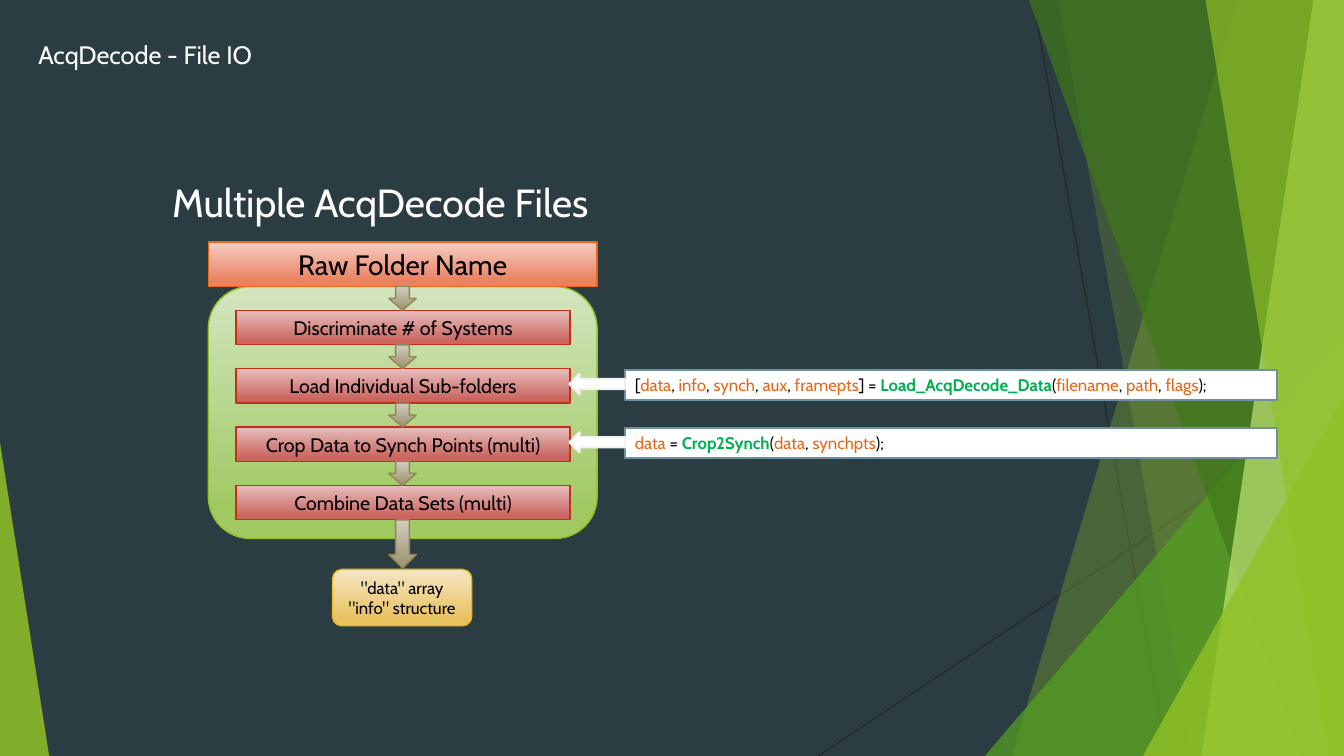
import pptx
import pptx.util
import pptx.dml.color
import pptx.enum.shapes
import pptx.enum.text
import pptx.oxml
import pptx.oxml.ns
from dataclasses import dataclass

Cm = pptx.util.Cm
Shape = pptx.enum.shapes.MSO_SHAPE
Anchor = pptx.enum.text.MSO_ANCHOR
Align = pptx.enum.text.PP_ALIGN

TITLE = "AcqDecode - File IO"
HEADING = "Multiple AcqDecode Files"
SOURCE = "Raw Folder Name"
STEPS = [
    "Discriminate # of Systems",
    "Load Individual Sub-folders",
    "Crop Data to Synch Points (multi)",
    "Combine Data Sets (multi)",
]
RESULT = ['"data" array', '"info" structure']
CALLS = {
    1: [("[", "plain"), ("data", "name"), (",", "plain"), (" info", "name"),
        (",", "plain"), (" synch", "name"), (",", "plain"), (" aux", "name"),
        (",", "plain"), (" framepts", "name"), ("] = ", "plain"),
        ("Load_AcqDecode_Data", "function"), ("(", "plain"),
        ("filename", "name"), (",", "plain"), (" path", "name"),
        (",", "plain"), (" flags", "name"), (");", "plain")],
    2: [("data ", "name"), ("= ", "plain"), ("Crop2Synch", "function"),
        ("(", "plain"), ("data", "name"), (",", "plain"),
        (" synchpts", "name"), (");", "plain")],
}

WIDTH, HEIGHT = 33.87, 19.05
RAYS = [(26.04, 0, 29.41, HEIGHT), (WIDTH, 10.24, 20.62, HEIGHT)]
FACETS = [
    ("band", (31.19, 25.5), "90C226", 30),
    ("band", (26.67, 30.05), "90C226", 20),
    ("corner", (24.82, 8.46, 9.05, 1), "54A021", 72),
    ("band", (25.93, 32.79), "3F7819", 70),
    ("band", (33.1, 30.28), "C0E474", 70),
    ("band", (30.38, 33.48), "90C226", 65),
    ("corner", (28.8, 9.98, 5.07, 1), "90C226", 80),
    ("corner", (0, 11.15, 1.24, 0), "90C226", 85),
]


@dataclass(frozen=True)
class Theme:
    font = "Cabin"
    background = "2C3C43"
    white = "FFFFFF"
    black = "000000"
    ray = "262626"
    code = {"plain": "000000", "name": "E76618", "function": "00B050"}
    code_border = "6E91A0"
    pointer_border = "F2F2F2"
    panel = ("D3E5BE", "A0C962", "90C226")
    source = ("F5CEC5", "EA815F", "E76618")
    step = ("E6BFBE", "CB6560", "C42F1A")
    arrow = ("D1CDC0", "A19877", "918655")
    result = ("F5E5C5", "E9C260", "E6B91E")
    title_size = 18
    heading_size = 28
    source_size = 20
    step_size = 14
    small_size = 12


theme = Theme()


def rgb(code):
    return pptx.dml.color.RGBColor.from_string(code)


def add_span(para, text, size, color, bold=False):
    span = para.add_run()
    span.text = text
    span.font.name = theme.font
    span.font.size = pptx.util.Pt(size)
    span.font.bold = bold
    span.font.color.rgb = rgb(color)


def write_lines(shape, lines, size):
    frame = shape.text_frame
    for index, line in enumerate(lines):
        para = frame.add_paragraph() if index else frame.paragraphs[0]
        para.alignment = Align.CENTER
        add_span(para, line, size, theme.black)


def add_box(page, kind, bounds):
    box = page.shapes.add_shape(kind, *map(Cm, bounds))
    box.shadow.inherit = False
    return box


def outline(shape, color, width):
    shape.line.color.rgb = rgb(color)
    shape.line.width = pptx.util.Pt(width)


def add_gradient_box(page, kind, bounds, colors):
    box = add_box(page, kind, bounds)
    start, end, border = colors
    box.fill.gradient()
    box.fill.gradient_angle = 270
    for stop, color, position in zip(box.fill.gradient_stops, (start, end), (0, 0.88)):
        stop.color.rgb = rgb(color)
        stop.position = position
    outline(box, border, 1)
    return box


def add_white_box(page, kind, bounds, border):
    box = add_box(page, kind, bounds)
    box.fill.solid()
    box.fill.fore_color.rgb = rgb(theme.white)
    outline(box, border, 1.5)
    return box


def add_facet(page, kind, geometry, color, opacity):
    if kind == "band":
        top_x, bottom_x = geometry
        corners = [(WIDTH, 0), (WIDTH, HEIGHT), (bottom_x, HEIGHT)]
        builder = page.shapes.build_freeform(Cm(top_x), 0)
        builder.add_line_segments([(Cm(x), Cm(y)) for x, y in corners], close=True)
        facet = builder.convert_to_shape()
        facet.shadow.inherit = False
    else:
        left, top, width, apex = geometry
        facet = add_box(page, Shape.ISOSCELES_TRIANGLE, (left, top, width, HEIGHT - top))
        facet.adjustments[0] = apex
    facet.fill.solid()
    facet.fill.fore_color.rgb = rgb(color)
    facet.line.fill.background()
    node = facet.element.spPr.find(".//" + pptx.oxml.ns.qn("a:srgbClr"))
    alpha = node.makeelement(pptx.oxml.ns.qn("a:alpha"), {"val": str(opacity * 1000)})
    node.append(alpha)


def add_backdrop(page):
    page.background.fill.solid()
    page.background.fill.fore_color.rgb = rgb(theme.background)
    for ends in RAYS:
        ray = page.shapes.add_connector(
            pptx.enum.shapes.MSO_CONNECTOR.STRAIGHT, *map(Cm, ends))
        outline(ray, theme.ray, 0.75)
        properties = ray.element.spPr
        properties.append(properties.makeelement(pptx.oxml.ns.qn("a:effectLst"), {}))
    for facet in FACETS:
        add_facet(page, *facet)


def add_headings(page):
    title = page.shapes.title
    heading = page.shapes.add_textbox(Cm(4.09), Cm(4.37), Cm(11.61), Cm(1.7))
    title.left, title.top, title.width, title.height = map(Cm, (0.71, 0.86, 6.15, 1.02))
    for box, text, size in ((title, TITLE, theme.title_size),
                            (heading, HEADING, theme.heading_size)):
        frame = box.text_frame
        frame.word_wrap = box is heading
        frame.auto_size = pptx.enum.text.MSO_AUTO_SIZE.NONE
        frame.vertical_anchor = Anchor.TOP
        frame.paragraphs[0].alignment = Align.LEFT
        add_span(frame.paragraphs[0], text, size, theme.white)


def add_flow(page):
    left, width = 5.25, 9.8
    first_top, pitch, step_height, gap = 7.82, 1.47, 0.87, 0.6
    step_left, step_width = 5.95, 8.42
    arrow_left, arrow_width = 9.8, 0.69

    add_gradient_box(page, Shape.ROUNDED_RECTANGLE, (left, 7.22, width, 6.35), theme.panel)
    source = add_gradient_box(page, Shape.RECTANGLE, (left, 6.1, width, 1.12), theme.source)
    write_lines(source, [SOURCE], theme.source_size)

    for index, label in enumerate(STEPS):
        top = first_top + index * pitch
        step = add_gradient_box(
            page, Shape.RECTANGLE, (step_left, top, step_width, step_height), theme.step)
        write_lines(step, [label], theme.step_size)
        add_gradient_box(
            page, Shape.DOWN_ARROW, (arrow_left, top - gap, arrow_width, gap), theme.arrow)
        if index in CALLS:
            code = add_white_box(
                page, Shape.RECTANGLE, (15.75, top + 0.03, 16.43, 0.76), theme.code_border)
            para = code.text_frame.paragraphs[0]
            para.alignment = Align.LEFT
            for text, role in CALLS[index]:
                add_span(para, text, theme.small_size, theme.code[role], role == "function")
            add_white_box(
                page, Shape.LEFT_ARROW, (14.35, top + 0.13, 1.4, 0.51), theme.pointer_border)

    bottom = first_top + (len(STEPS) - 1) * pitch + step_height
    add_gradient_box(
        page, Shape.DOWN_ARROW, (arrow_left, bottom, arrow_width, 1.22), theme.arrow)
    result = add_gradient_box(
        page, Shape.ROUNDED_RECTANGLE, (8.38, 14.35, 3.51, 1.42), theme.result)
    write_lines(result, RESULT, theme.small_size)


def main():
    deck = pptx.Presentation()
    deck.slide_width, deck.slide_height = Cm(WIDTH), Cm(HEIGHT)
    page = deck.slides.add_slide(deck.slide_layouts[5])
    add_backdrop(page)
    add_headings(page)
    add_flow(page)
    deck.save("out.pptx")


if __name__ == "__main__":
    main()
